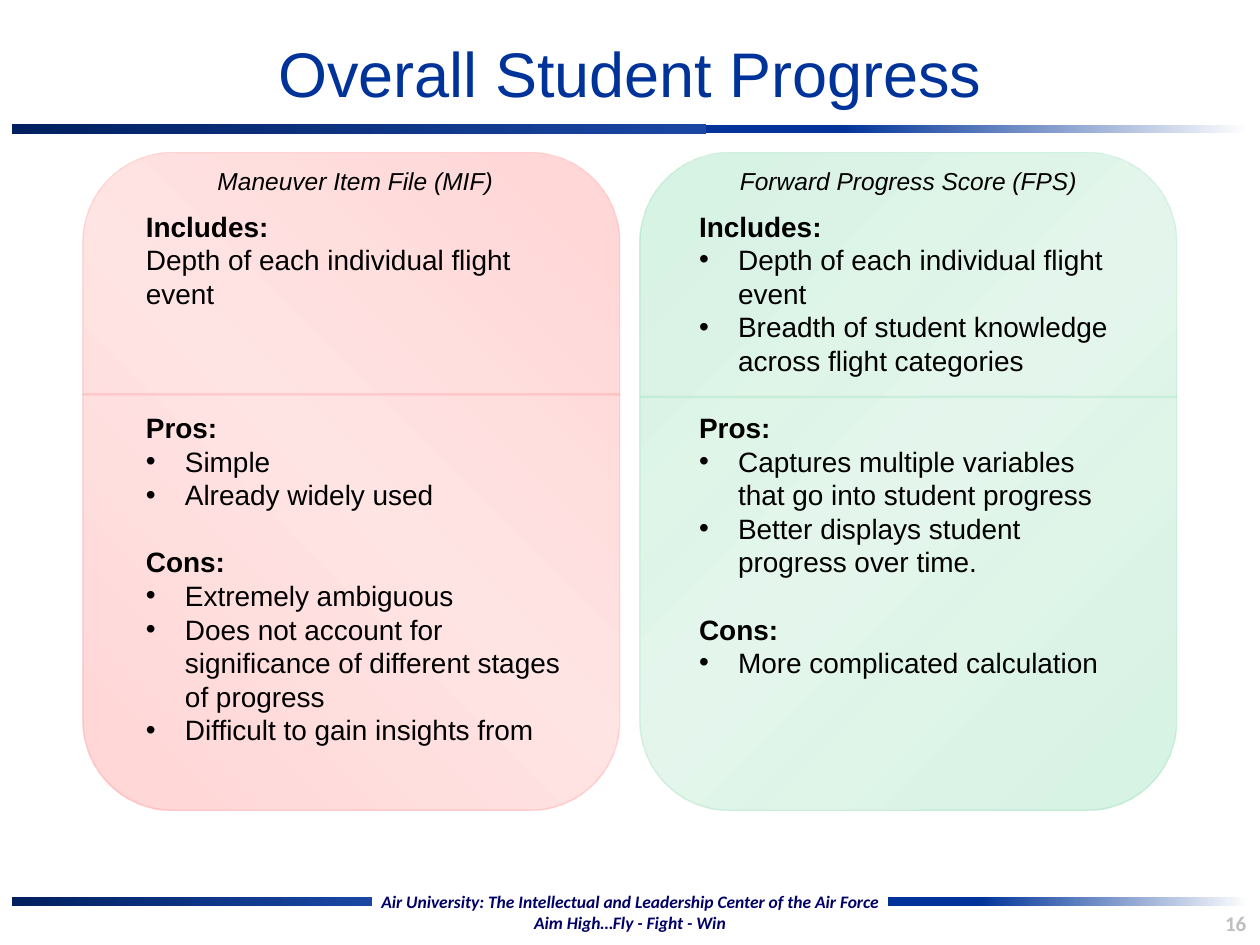
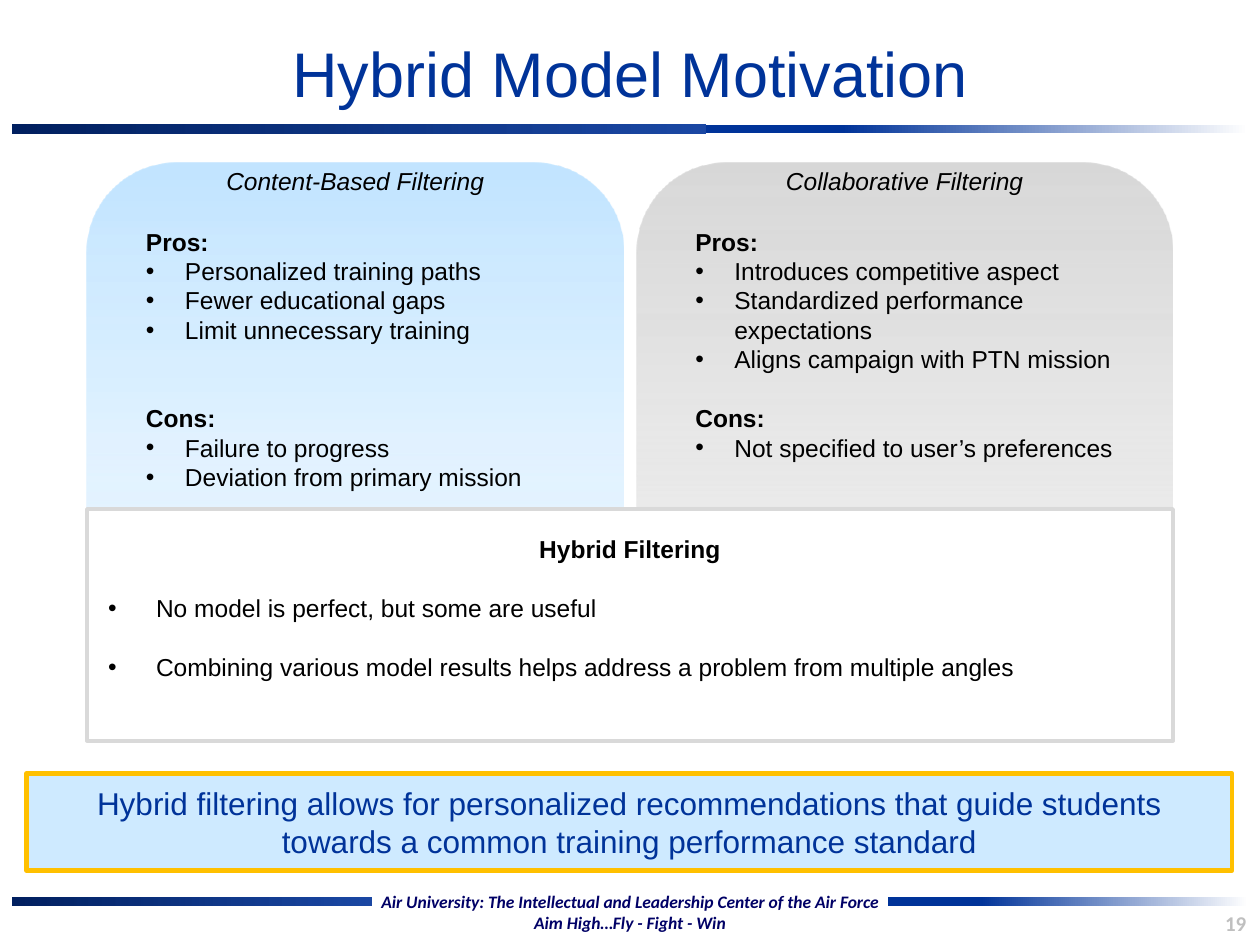
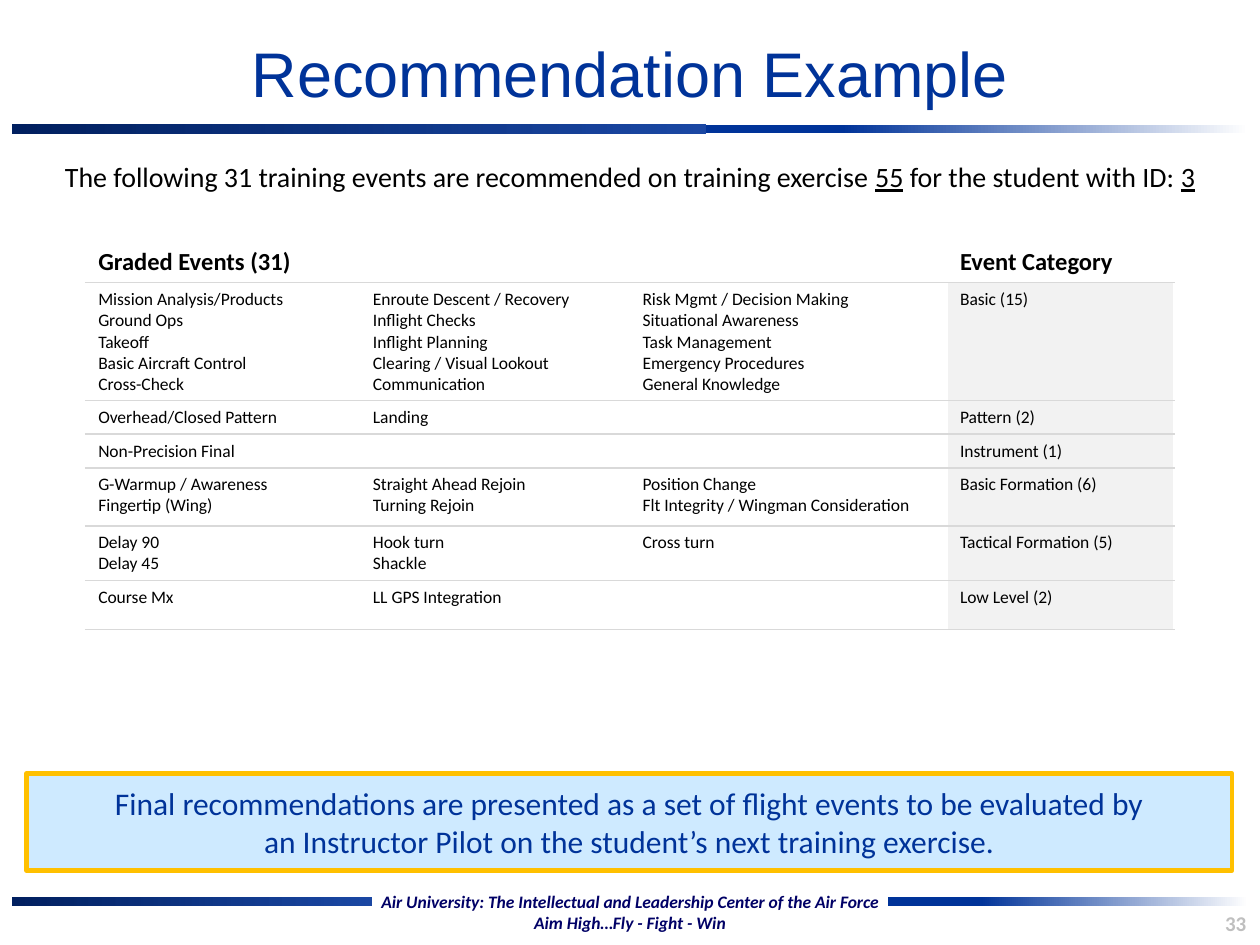
from lxml import etree
from pptx import Presentation
from pptx.dml.color import RGBColor
from pptx.enum import shapes, text
from pptx.oxml.ns import qn
from pptx.util import Emu, Inches, Pt

# Grid of 100 columns by 75 rows; every box is (column, row, columns, rows)
COLS, ROWS = 100, 75
prs = Presentation()
prs.slide_width, prs.slide_height = Inches(10), Inches(7.5)
UNIT = prs.slide_width / COLS

NAVY, DEEP, FOOT = "003399", "002060", "000066"
SKY, GOLD, RED, GREEN = "3DACFF", "FFC000", "FF0000", "00B050"
BLACK, WHITE, RULE, PALE, NUMBER = "000000", "FFFFFF", "D9D9D9", "F2F2F2", "BFBFBF"
SANS, HUMANIST = "Arial", "Calibri"
LEFT, CENTER, RIGHT = (text.PP_ALIGN.LEFT, text.PP_ALIGN.CENTER,
                       text.PP_ALIGN.RIGHT)
TOP, MIDDLE = text.MSO_ANCHOR.TOP, text.MSO_ANCHOR.MIDDLE
LINE_FACTOR = 1.2  # height of a text line relative to its font size


def rgb(color):
    return RGBColor.from_string(color)


def grid(*values):
    return [Emu(round(v * UNIT)) for v in values]


def within(box, dx, dy, w, h):
    """A box placed relative to the top left corner of another."""
    return box[0] + dx, box[1] + dy, w, h


# Fills and lines
def add_alpha(color_parent, percent):
    etree.SubElement(color_parent.find(".//" + qn("a:srgbClr")),
                     qn("a:alpha"), val=str(percent * 1000))


def gradient(sp, stops, angle):
    """Stops are (position, colour, opacity), all in percent."""
    fill = etree.Element(qn("a:gradFill"), rotWithShape="1")
    stop_list = etree.SubElement(fill, qn("a:gsLst"))
    for position, color, opacity in stops:
        gs = etree.SubElement(stop_list, qn("a:gs"), pos=str(position * 1000))
        etree.SubElement(gs, qn("a:srgbClr"), val=color)
        add_alpha(gs, opacity)
    etree.SubElement(fill, qn("a:lin"), ang=str(angle * 60000), scaled="0")
    sp._element.spPr.find(qn("a:prstGeom")).addnext(fill)


def set_line(line, color, width, opacity=100):
    line.color.rgb = rgb(color)
    line.width = Pt(width)
    if opacity < 100:
        add_alpha(line._ln, opacity)


def add_box(slide, box, kind=shapes.MSO_SHAPE.RECTANGLE):
    sp = slide.shapes.add_shape(kind, *grid(*box))
    sp.shadow.inherit = False
    sp.line.fill.background()
    return sp


# Text
def style_run(r, size, font, color, bold=False, italic=False, underline=False):
    f = r.font
    f.size, f.name, f.color.rgb = Pt(size), font, rgb(color)
    f.bold, f.italic, f.underline = bold, italic, underline


def write(tf, content, size, font=SANS, color=BLACK, align=LEFT, anchor=TOP,
          **style):
    tf.word_wrap, tf.vertical_anchor = True, anchor
    tf.text = content
    for p in tf.paragraphs:
        p.alignment = align
        for r in p.runs:
            style_run(r, size, font, color, **style)


def add_text(slide, box, content, size, **style):
    tf = slide.shapes.add_textbox(*grid(*box)).text_frame
    write(tf, content, size, **style)
    return tf


def add_bullet(p, indent):
    pPr = p._p.get_or_add_pPr()
    pPr.set("marL", str(Inches(indent)))
    pPr.set("indent", str(-Inches(indent)))
    etree.SubElement(pPr, qn("a:buFont"), typeface=SANS)
    etree.SubElement(pPr, qn("a:buChar"), char="•")


def add_sections(slide, box, sections, size, indent=0.31):
    """Sections are (lines of gap above, heading, plain text, bullets)."""
    tf = add_text(slide, box, "", size)
    lines = []
    for gap, heading, plain, bullets in sections:
        lines.append((gap, heading, "heading"))
        lines += [(0, item, "plain") for item in plain]
        lines += [(0, item, "bullet") for item in bullets]
    for i, (gap, content, kind) in enumerate(lines):
        p = tf.add_paragraph() if i else tf.paragraphs[0]
        p.text = content
        if gap:
            p.space_before = Pt(gap * size * LINE_FACTOR)
        if kind == "bullet":
            add_bullet(p, indent)
        style_run(p.runs[0], size, SANS, BLACK, bold=kind == "heading")
    return tf


# Shared frame: title, bands, footer and page number
def add_band(slide, row, left_end, right_start):
    for start, end, stops in (
            (1, left_end, [(0, NAVY, 90), (100, DEEP, 100)]),
            (right_start, 99.1, [(0, WHITE, 100), (75, NAVY, 100)])):
        gradient(add_box(slide, (start, row, end - start, 0.7)), stops, 180)


def new_slide(title, number):
    slide = prs.slides.add_slide(prs.slide_layouts[6])
    add_band(slide, 9.9, 56, 56)
    add_band(slide, 71.2, 29.5, 70.5)
    add_text(slide, (76.5, 71.3, 23.4, 4), number, 12, font=HUMANIST,
             color=NUMBER, align=RIGHT, anchor=MIDDLE, bold=True)
    for box, motto in (
            ((29.2, 70.2, 41.6, 2.9),
             "Air University: The Intellectual and Leadership Center of the Air Force"),
            ((38.2, 71.9, 23.6, 2.9), "Aim High…Fly - Fight - Win")):
        add_text(slide, box, motto, 10, font=HUMANIST, color=FOOT,
                 align=CENTER, bold=True, italic=True)
    add_text(slide, (14.9, 2.2, 70.2, 7.1), title, 36, color=NAVY,
             align=CENTER, anchor=MIDDLE)
    return slide


def add_takeaway(slide, message, font):
    sp = add_box(slide, (2.1, 61.4, 95.7, 7.7))
    sp.fill.solid()
    sp.fill.fore_color.rgb = rgb(SKY)
    add_alpha(sp._element.spPr.find(qn("a:solidFill")), 25)
    set_line(sp.line, GOLD, 2.5)
    write(sp.text_frame, message, 18, font=font, color=NAVY, align=CENTER,
          anchor=MIDDLE)


# Comparison panels
PANEL_W, TEXT_W = 42.6, 35.2
TEXT_DX = (PANEL_W - TEXT_W) / 2


def add_panel(slide, box, stops, angle, caption, sections, size,
              caption_dy, body_dy, text_dx=TEXT_DX):
    sp = add_box(slide, box, shapes.MSO_SHAPE.ROUNDED_RECTANGLE)
    gradient(sp, stops, angle)
    add_text(slide, within(box, text_dx, caption_dy, TEXT_W, 3.4), caption, 14,
             align=CENTER, italic=True)
    tf = add_sections(slide, within(box, text_dx, body_dy, TEXT_W,
                                    box[3] - body_dy), sections, size)
    return sp, tf


def add_divider(slide, box, dy, color):
    x, y, w, _ = box
    line = slide.shapes.add_connector(shapes.MSO_CONNECTOR.STRAIGHT,
                                      *grid(x, y + dy, x + w, y + dy))
    set_line(line.line, color, 1.5, 10)
    etree.SubElement(line._element.spPr, qn("a:effectLst"))


def progress_slide():
    slide = new_slide("Overall Student Progress", "16")
    panels = (
        (6.6, RED, 315, 4, 19.2, "Maneuver Item File (MIF)", [
            (0, "Includes:", ["Depth of each individual flight event"], []),
            (3, "Pros:", [], ["Simple", "Already widely used"]),
            (1, "Cons:", [], [
                "Extremely ambiguous",
                "Does not account for significance of different stages of progress",
                "Difficult to gain insights from"])]),
        (50.8, GREEN, 45, TEXT_DX, 19.4, "Forward Progress Score (FPS)", [
            (0, "Includes:", [], [
                "Depth of each individual flight event",
                "Breadth of student knowledge across flight categories"]),
            (1, "Pros:", [], [
                "Captures multiple variables that go into student progress",
                "Better displays student progress over time."]),
            (1, "Cons:", [], ["More complicated calculation"])]))
    for x, color, angle, text_dx, divider_dy, caption, sections in panels:
        box = (x, 12.1, PANEL_W, 52.2)
        stops = [(10, color, 15), (50, color, 10), (90, color, 15)]
        sp, _ = add_panel(slide, box, stops, angle, caption, sections, 16,
                          0.6, 4, text_dx)
        set_line(sp.line, color, 0.75, 10)
        add_divider(slide, box, divider_dy, color)


def hybrid_slide():
    slide = new_slide("Hybrid Model Motivation", "19")
    add_takeaway(slide, "Hybrid filtering allows for personalized recommendations "
                 "that guide students towards a common training performance "
                 "standard", SANS)
    panels = (
        (6.9, [(0, SKY, 31), (51, SKY, 15), (100, WHITE, 26)],
         "Content-Based Filtering", [
            (0, "Pros:", [], ["Personalized training paths",
                              "Fewer educational gaps",
                              "Limit unnecessary training"]),
            (2, "Cons:", [], ["Failure to progress",
                              "Deviation from primary mission"])]),
        (50.5, [(0, "808080", 30), (47, "BFBFBF", 36), (97, WHITE, 69)],
         "Collaborative Filtering", [
            (0, "Pros:", [], ["Introduces competitive aspect",
                              "Standardized performance expectations",
                              "Aligns campaign with PTN mission"]),
            (1, "Cons:", [], ["Not specified to user’s preferences"])]))
    for x, stops, caption, sections in panels:
        add_panel(slide, (x, 12.9, PANEL_W, 43.3), stops, 90, caption,
                  sections, 14, -0.2, 4.6)

    # Hybrid box over the lower part of both panels
    box = (6.9, 40.4, 86.2, 18.4)
    sp = add_box(slide, box)
    sp.fill.solid()
    sp.fill.fore_color.rgb = rgb(WHITE)
    set_line(sp.line, RULE, 2)
    tf = add_sections(slide, within(box, 0.7, 1.5, 84.8, 15.1), [
        (0, "Hybrid Filtering", [], [
            "No model is perfect, but some are useful",
            "Combining various model results helps address a problem from "
            "multiple angles"])], 14, indent=0.38)
    tf.paragraphs[0].alignment = CENTER
    for p in tf.paragraphs[1:]:
        p.space_before = Pt(14 * LINE_FACTOR)


# Table of recommended events
def set_borders(cell, left, right, top, bottom):
    tcPr = cell._tc.get_or_add_tcPr()
    for i, (side, color) in enumerate(zip("LRTB", (left, right, top, bottom))):
        ln = etree.Element(qn("a:ln" + side), w=str(Pt(1)))
        fill = etree.SubElement(ln, qn("a:solidFill"))
        etree.SubElement(fill, qn("a:srgbClr"), val=color)
        tcPr.insert(i, ln)


def add_event_table(slide, box, widths, heights, rows):
    table = slide.shapes.add_table(len(rows), len(widths), *grid(*box)).table
    table.first_row = table.horz_banding = False
    for column, width in zip(table.columns, grid(*widths)):
        column.width = width
    for row, height in zip(table.rows, grid(*heights)):
        row.height = height
    for i, row in enumerate(rows):
        header, size = i == 0, 10 if i else 14
        for j, content in enumerate(row):
            cell = table.cell(i, j)
            write(cell.text_frame, content, size, font=HUMANIST, bold=header)
            if not content:
                etree.SubElement(cell.text_frame.paragraphs[0]._p,
                                 qn("a:endParaRPr"), sz=str(size * 100))
            shaded = not header and j == len(row) - 1
            cell.fill.solid()
            cell.fill.fore_color.rgb = rgb(PALE if shaded else WHITE)
            set_borders(cell, WHITE, WHITE, WHITE if header else RULE, RULE)


def recommendation_slide():
    slide = new_slide("Recommendation Example", "33")
    tf = add_text(slide, (0, 12.2, COLS, 3.7), "", 16, align=CENTER)
    for content, underline in (
            ("The following 31 training events are recommended on training "
             "exercise ", False),
            ("55", True), (" for the student with ID: ", False), ("3", True)):
        r = tf.paragraphs[0].add_run()
        r.text = content
        style_run(r, 16, HUMANIST, BLACK, underline=underline)
    rows = [
        ("Graded Events (31)", "", "", "Event Category"),
        ("Mission Analysis/Products\nGround Ops\nTakeoff\n"
         "Basic Aircraft Control\nCross-Check",
         "Enroute Descent / Recovery\nInflight Checks\nInflight Planning\n"
         "Clearing / Visual Lookout\nCommunication",
         "Risk Mgmt / Decision Making\nSituational Awareness\n"
         "Task Management\nEmergency Procedures\nGeneral Knowledge",
         "Basic (15)"),
        ("Overhead/Closed Pattern", "Landing", "", "Pattern (2)"),
        ("Non-Precision Final", "", "", "Instrument (1)"),
        ("G-Warmup / Awareness\nFingertip (Wing)",
         "Straight Ahead Rejoin\nTurning Rejoin",
         "Position Change\nFlt Integrity / Wingman Consideration",
         "Basic Formation (6)"),
        ("Delay 90\nDelay 45", "Hook turn\nShackle", "Cross turn",
         "Tactical Formation (5)"),
        ("Course Mx", "LL GPS Integration", "", "Low Level (2)")]
    add_event_table(slide, (6.8, 19.1, 86.5, 30.8), (21.8, 21.4, 25.2, 18),
                    (3.3, 9.2, 2.6, 2.6, 4.6, 4.3, 3.9), rows)
    add_takeaway(slide, "Final recommendations are presented as a set of flight "
                 "events to be evaluated by\nan Instructor Pilot on the student’s "
                 "next training exercise.", HUMANIST)


def main():
    progress_slide()
    hybrid_slide()
    recommendation_slide()
    prs.save("out.pptx")


if __name__ == "__main__":
    main()
